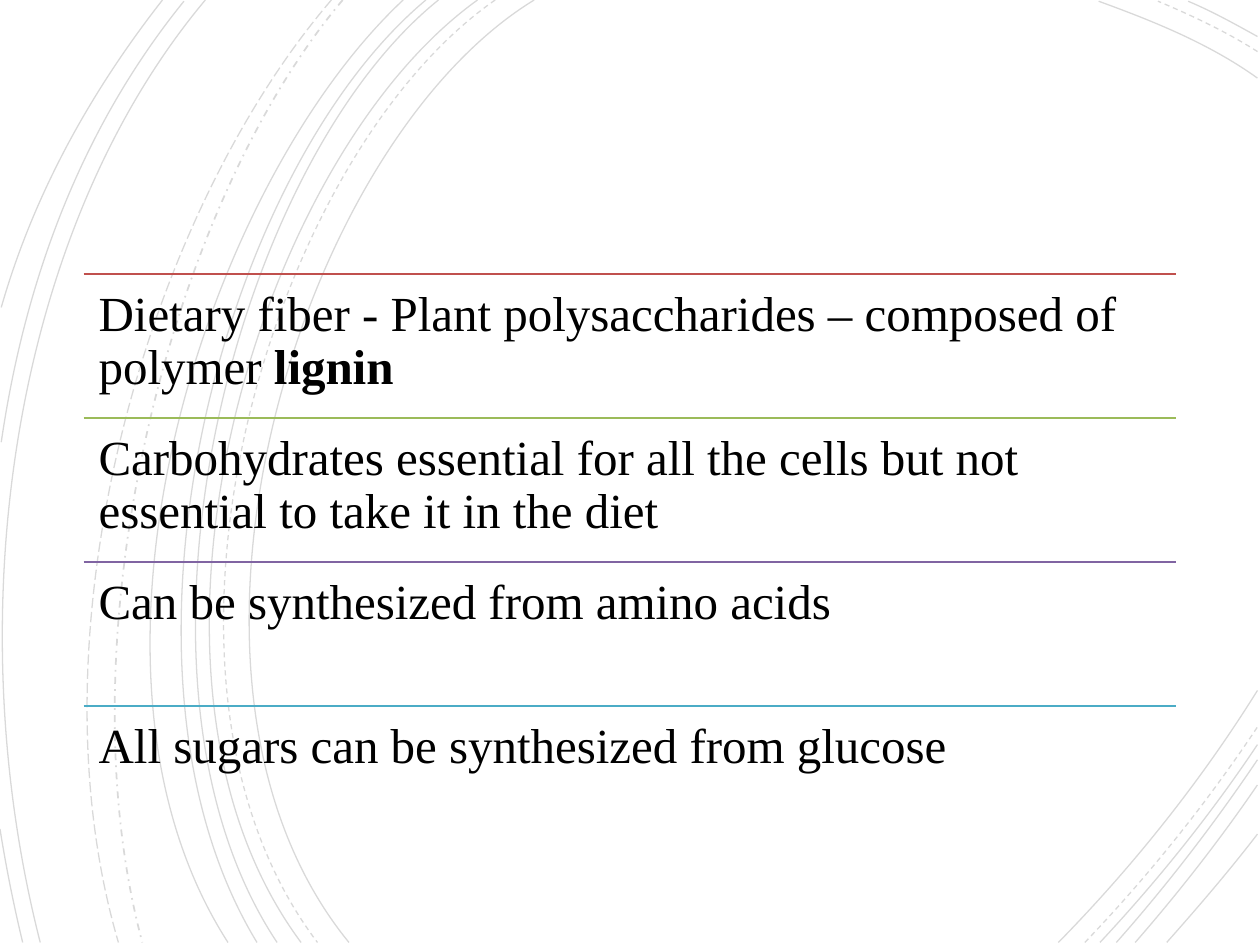
from lxml.etree import SubElement
from pptx import Presentation
from pptx.dml.color import RGBColor
from pptx.enum.dml import MSO_LINE_DASH_STYLE as Dash
from pptx.enum.shapes import MSO_CONNECTOR as Connector
from pptx.enum.text import MSO_ANCHOR as Anchor
from pptx.oxml.ns import qn
from pptx.util import Inches, Pt

COLORS = {
    "ink": "000000",
    "red": "C0504D",
    "green": "9BBB59",
    "purple": "8064A2",
    "teal": "4BACC6",
}

LEFT_ARCS = [
    (42.4, (23.6, 11.5), (10.7, 54), 27.7, Dash.SOLID),
    (39.3, (21.3, 12.5), (9.2, 53.7), 25.2, Dash.DASH),
    (37.9, (20.2, 12.7), (8.2, 53.7), 23.9, Dash.SOLID),
    (34.8, (18.3, 13.3), (8.2, 54.1), 22, Dash.SOLID),
    (33.8, (17.3, 13.8), (7.3, 53.3), 20.4, Dash.SOLID),
    (32, (16.3, 14.7), (4, 52.9), 18.1, Dash.SOLID),
    (27.2, (13.2, 16.6), (4.9, 50.9), 11.3, Dash.DASH_DOT),
    (26.3, (11.8, 16.9), (2.1, 49.9), 9.4, Dash.LONG_DASH),
    (16.3, (0.8, 18.5), (-3.4, 49), 3.2, Dash.SOLID),
]
RIGHT_ARCS = [
    (84, (89.7, 69), (95.2, 62.2), 54.8, Dash.SOLID),
    (86.1, (90.9, 69.8), (95.6, 64), 57.7, Dash.DASH),
    (87.3, (91.7, 70.1), (96, 64.8), 59.1, Dash.SOLID),
    (88.6, (92.5, 70.4), (96.3, 65.5), 60.3, Dash.SOLID),
    (90.1, (93.5, 70.9), (96.8, 66.7), 62.3, Dash.SOLID),
    (92.6, (95, 72.1), (97.5, 69.2), 66.2, Dash.SOLID),
]
CORNER_ARCS = [
    ((99.8, 6.2), (95.9, 3.4), (91.3, 1.6), (87.2, 0.1), Dash.SOLID),
    ((99.8, 4.1), (97.3, 2.5), (94.5, 1.2), (91.9, 0.1), Dash.DASH),
    ((99.8, 2.9), (98, 1.9), (96.2, 0.9), (94.3, 0.1), Dash.SOLID),
    ((14.6, 0.1), (6.9, 9.6), (2.1, 21.4), (0.1, 35.1), Dash.SOLID),
    ((0, 65.8), (0.5, 68.9), (1.1, 71.9), (1.8, 74.8), Dash.SOLID),
    ((12.9, 0), (7.5, 6.9), (2.8, 15), (0.1, 24.4), Dash.SOLID),
]
STATEMENTS = [
    ("red", [("Dietary fiber - Plant polysaccharides – composed of polymer ", False),
             ("lignin", True)]),
    ("green", [("Carbohydrates essential for all the cells but not essential "
                "to take it in the diet", False)]),
    ("purple", [("Can be synthesized from amino acids", False)]),
    ("teal", [("All sugars can be synthesized from glucose", False)]),
]


class SlideBuilder:
    """Draws styled elements on a page with a grid of 100 columns by 75 rows."""

    cell = Inches(0.1)
    font = "Times New Roman"
    text_size = Pt(28)
    inset = Inches(0.12)
    arc_opacity = 15

    def __init__(self, page):
        self.page = page

    def grid(self, *lengths):
        return [round(length * self.cell) for length in lengths]

    def color(self, name):
        return RGBColor.from_string(COLORS[name])

    def arc(self, start, first, second, end, dash):
        outline = self.page.shapes.build_freeform(*self.grid(*start), scale=1.0)
        outline.add_line_segments(
            [self.grid(*point) for point in (first, second, end)], close=False)
        curve = outline.convert_to_shape()
        self.bend(curve)
        curve.shadow.inherit = False
        curve.fill.background()
        curve.line.color.rgb = self.color("ink")
        curve.line.width = Pt(1 if dash == Dash.DASH_DOT else 0.75)
        curve.line.dash_style = dash
        ink = curve.element.spPr.find(".//" + qn("a:srgbClr"))
        SubElement(ink, qn("a:alpha")).set("val", str(self.arc_opacity * 1000))

    def bend(self, curve):
        track = curve.element.spPr.find(".//" + qn("a:path"))
        segments = track.findall(qn("a:lnTo"))
        bezier = SubElement(track, qn("a:cubicBezTo"))
        for segment in segments:
            bezier.append(segment[0])
            track.remove(segment)

    def rule(self, left, top, width, color):
        line = self.page.shapes.add_connector(
            Connector.STRAIGHT, *self.grid(left, top, left + width, top))
        line.line.color.rgb = self.color(color)
        line.line.width = Pt(1.25)
        SubElement(line.element.spPr, qn("a:effectLst"))

    def text(self, left, top, width, height, spans):
        box = self.page.shapes.add_textbox(*self.grid(left, top, width, height))
        frame = box.text_frame
        frame.word_wrap = True
        frame.vertical_anchor = Anchor.TOP
        frame.margin_left = frame.margin_right = self.inset
        frame.margin_top = frame.margin_bottom = self.inset
        para = frame.paragraphs[0]
        para.line_spacing = 0.9
        para.font.name = self.font
        para.font.size = self.text_size
        para.font.color.rgb = self.color("ink")
        for words, bold in spans:
            span = para.add_run()
            span.text = words
            if bold:
                span.font.bold = True


def main():
    deck = Presentation()
    deck.slide_width, deck.slide_height = Inches(10), Inches(7.5)
    builder = SlideBuilder(deck.slides.add_slide(deck.slide_layouts[6]))

    for top_x, first, second, bottom_x, dash in LEFT_ARCS:
        builder.arc((top_x, 0), first, second, (bottom_x, 74.8), dash)
    for bottom_x, first, second, edge_y, dash in RIGHT_ARCS:
        builder.arc((bottom_x, 74.8), first, second, (99.8, edge_y), dash)
    for arc in CORNER_ARCS:
        builder.arc(*arc)

    left, top, width, height = 6.63, 21.75, 86.74, 11.42
    for index, (color, spans) in enumerate(STATEMENTS):
        row = top + index * height
        builder.rule(left, row, width, color)
        builder.text(left, row, width, height, spans)

    deck.save("out.pptx")


if __name__ == "__main__":
    main()
